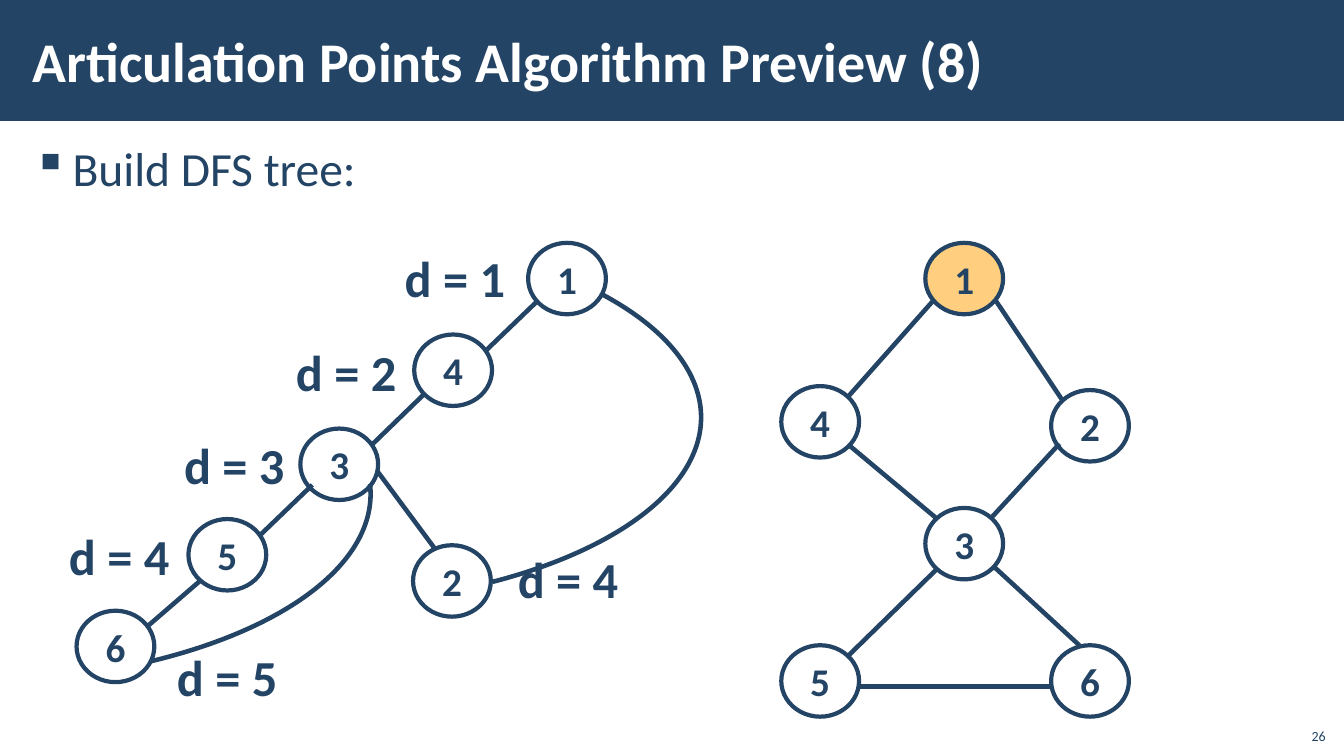
from dataclasses import dataclass

from lxml.etree import SubElement
from pptx import Presentation
from pptx.dml.color import RGBColor
from pptx.enum.shapes import MSO_CONNECTOR, MSO_SHAPE
from pptx.enum.text import MSO_ANCHOR, MSO_AUTO_SIZE, PP_ALIGN
from pptx.oxml.ns import qn
from pptx.util import Cm, Pt


@dataclass(frozen=True)
class Theme:
    """Colours, type sizes and line widths of the deck."""
    font: str = "Calibri"
    navy: RGBColor = RGBColor(0x23, 0x44, 0x65)
    white: RGBColor = RGBColor(0xFF, 0xFF, 0xFF)
    orange: RGBColor = RGBColor(0xFF, 0xA0, 0x00)
    title: int = 40
    label: int = 36
    body: int = 34
    node: int = 28
    page: int = 10
    outline: float = 3
    edge: float = 3.25


NODE_WIDTH, NODE_HEIGHT = 1.96, 1.8
ARC_WIDTH, ARC_HEIGHT = 20.57, 9.5

GRAPH_NODES = {
    "1": (23.32, 6.12), "4": (19.69, 9.73), "2": (26.49, 9.83),
    "6": (26.49, 16.26), "5": (19.69, 16.26), "3": (23.32, 12.8),
}
GRAPH_EDGES = [
    (23.55, 7.54, 21.36, 10.01), (25.07, 7.54, 26.77, 10.08),
    (23.6, 14.35, 21.36, 16.54), (26.49, 17.3, 21.64, 17.3),
    (25.07, 14.3, 27.2, 16.26), (23.6, 13.06, 21.41, 11.23),
    (26.7, 11.18, 24.97, 13.06),
]
TREE_NODES = {
    "1": (13.31, 6.12), "4": (10.44, 8.43), "3": (7.57, 10.8),
    "5": (4.75, 13.08), "6": (1.93, 15.39), "2": (10.41, 13.74),
}
TREE_EDGES = [
    (13.56, 7.57, 12.27, 8.81), (10.69, 9.93, 9.4, 11.18),
    (7.87, 12.22, 6.58, 13.46), (5.05, 14.63, 3.73, 15.77),
    (10.97, 13.84, 9.5, 11.86),
]
BACK_EDGES = [(-11.23, 7.7, 191, 0.85), (-2.9, 5.77, 192.32, 13.03)]
DEPTHS = [
    (1, 9.93, 6.1), (2, 7.19, 8.46), (3, 4.37, 10.8),
    (4, 1.47, 13.11), (5, 4.19, 16.15), (4, 12.78, 13.69),
]


def write_text(frame, text, *, font, size, color, bold=False, align=PP_ALIGN.LEFT,
               anchor=MSO_ANCHOR.TOP, wrap=True, insets=(0.25, 0.13)):
    """Fill a text frame with one formatted paragraph and return it."""
    frame.word_wrap = wrap
    frame.vertical_anchor = anchor
    frame.margin_left = frame.margin_right = Cm(insets[0])
    frame.margin_top = frame.margin_bottom = Cm(insets[1])
    paragraph = frame.paragraphs[0]
    paragraph.alignment = align
    run = paragraph.add_run()
    run.text = text
    run.font.name = font
    run.font.size = Pt(size)
    run.font.bold = bold
    run.font.color.rgb = color
    return paragraph


class SlideBuilder:
    """Draws styled elements on the current slide."""

    def __init__(self, slide, theme):
        """Keep the slide and its theme."""
        self.shapes = slide.shapes
        self.theme = theme

    def text(self, text, left, top, width, height, **style):
        """Add a text box and return its frame and paragraph."""
        frame = self.shapes.add_textbox(Cm(left), Cm(top), Cm(width), Cm(height)).text_frame
        style = {"font": self.theme.font, "color": self.theme.navy, **style}
        return frame, write_text(frame, text, **style)

    def header(self, title):
        """Add the title band across the top with its heading."""
        band = self.shapes.add_shape(MSO_SHAPE.RECTANGLE, 0, 0, Cm(33.87), Cm(3.05))
        band.shadow.inherit = False
        band.fill.solid()
        band.fill.fore_color.rgb = self.theme.navy
        band.line.fill.background()
        self.text(title, 0.53, 0.28, 27, 2.46, size=self.theme.title, bold=True,
                  color=self.theme.white, anchor=MSO_ANCHOR.MIDDLE, insets=(0.3, 0.1))

    def bullet(self, text):
        """Add the bulleted body line."""
        _, point = self.text(text, 0.53, 3.33, 32.82, 15.37,
                             size=self.theme.body, insets=(0.3, 0.1))
        point.line_spacing = 1.05
        point.space_before = point.space_after = Pt(6)
        properties = point._p.get_or_add_pPr()
        properties.set("marL", str(Cm(1)))
        properties.set("indent", str(-Cm(1)))
        SubElement(properties, qn("a:buChar")).set("char", "▪")

    def page_number(self, number):
        """Add the page number in the lower right corner."""
        self.text(str(number), 32.64, 18.08, 1.02, 0.81, size=self.theme.page,
                  align=PP_ALIGN.RIGHT, anchor=MSO_ANCHOR.BOTTOM)

    def node(self, name, left, top, color):
        """Add a numbered vertex with a half transparent fill."""
        vertex = self.shapes.add_shape(MSO_SHAPE.OVAL, Cm(left), Cm(top),
                                       Cm(NODE_WIDTH), Cm(NODE_HEIGHT))
        vertex.shadow.inherit = False
        vertex.fill.solid()
        vertex.fill.fore_color.rgb = color
        tint = vertex._element.spPr.find(qn("a:solidFill"))[0]
        SubElement(tint, qn("a:alpha")).set("val", "50000")
        self.stroke(vertex.line, self.theme.outline)
        write_text(vertex.text_frame, name, font=self.theme.font, size=self.theme.node,
                   color=self.theme.navy, bold=True, align=PP_ALIGN.CENTER,
                   anchor=MSO_ANCHOR.MIDDLE, insets=(0.1, 0.13))

    def edge(self, *ends):
        """Add a straight edge between two points."""
        link = self.shapes.add_connector(MSO_CONNECTOR.STRAIGHT, *map(Cm, ends))
        self.stroke(link.line, self.theme.edge)
        SubElement(link._element.spPr, qn("a:effectLst"))

    def back_edge(self, left, top, start, end):
        """Add a curved edge from a vertex to its ancestor."""
        curve = self.shapes.add_shape(MSO_SHAPE.ARC, Cm(left), Cm(top),
                                      Cm(ARC_WIDTH), Cm(ARC_HEIGHT))
        curve.shadow.inherit = False
        curve.adjustments[0] = start
        curve.adjustments[1] = end
        curve._element.spPr.find(qn("a:xfrm")).set("flipV", "1")
        curve.fill.background()
        self.stroke(curve.line, self.theme.edge)

    def depth(self, value, left, top):
        """Add the depth label of a tree vertex."""
        frame, _ = self.text(f"d = {value}", left, top, 3.07, 1.8, size=self.theme.label,
                             bold=True, align=PP_ALIGN.CENTER, wrap=False)
        frame.auto_size = MSO_AUTO_SIZE.SHAPE_TO_FIT_TEXT

    def stroke(self, line, width):
        """Give a line the theme colour and a width."""
        line.color.rgb = self.theme.navy
        line.width = Pt(width)


def main():
    """Build the slide and save it."""
    deck = Presentation()
    deck.slide_width, deck.slide_height = Cm(33.87), Cm(19.05)
    theme = Theme()
    builder = SlideBuilder(deck.slides.add_slide(deck.slide_layouts[6]), theme)
    builder.header("Articulation Points Algorithm Preview (8)")
    builder.page_number(26)
    builder.bullet("Build DFS tree:")
    for nodes, edges, root_color in ((GRAPH_NODES, GRAPH_EDGES, theme.orange),
                                     (TREE_NODES, TREE_EDGES, theme.white)):
        for name, position in nodes.items():
            builder.node(name, *position, root_color if name == "1" else theme.white)
        for ends in edges:
            builder.edge(*ends)
    for curve in BACK_EDGES:
        builder.back_edge(*curve)
    for label in DEPTHS:
        builder.depth(*label)
    deck.save("out.pptx")


if __name__ == "__main__":
    main()
